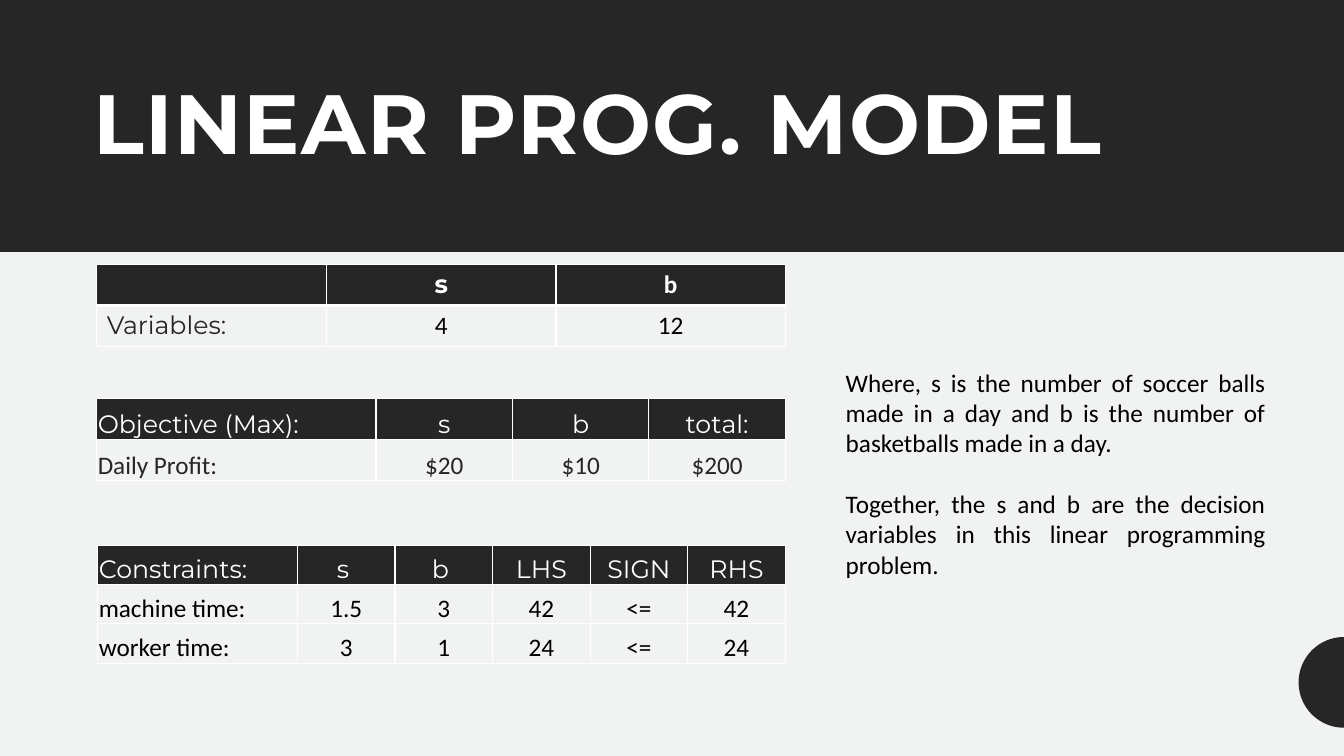
from math import cos, pi, sin

from lxml.etree import SubElement
from pptx import Presentation
from pptx.dml.color import RGBColor
from pptx.enum.shapes import MSO_SHAPE
from pptx.enum.text import MSO_ANCHOR, MSO_AUTO_SIZE, PP_ALIGN
from pptx.oxml.ns import qn
from pptx.util import Inches, Pt

COLORS = {"dark": "262626", "light": "F0F3F1", "white": "FFFFFF", "black": "000000"}
HEADING_FONT = "Montserrat"
BODY_FONT = "Calibri"
SLIDE_WIDTH = 13.33
SLIDE_HEIGHT = 7.5


def rgb(name):
    return RGBColor.from_string(COLORS[name])


class SlideBuilder:
    def __init__(self, slide):
        self.slide = slide
        self.shapes = slide.shapes
        slide.background.fill.solid()
        slide.background.fill.fore_color.rgb = rgb("light")

    def style_text(self, paragraph, font_name, color, size=18, bold=False):
        for run in paragraph.runs:
            run.font.name = font_name
            run.font.size = Pt(size)
            run.font.bold = bold
            run.font.color.rgb = rgb(color)

    def paint(self, shape, color):
        shape.shadow.inherit = False
        shape.fill.solid()
        shape.fill.fore_color.rgb = rgb(color)
        shape.line.fill.background()

    def rectangle(self, left, top, width, height, color):
        shape = self.shapes.add_shape(
            MSO_SHAPE.RECTANGLE, Inches(left), Inches(top), Inches(width), Inches(height))
        self.paint(shape, color)

    def half_disc(self, center_x, center_y, radius, color, steps=48):
        """Draw the left half of a disc, flat side at center_x."""
        angles = [pi / 2 + pi * step / steps for step in range(steps + 1)]
        points = [(Inches(center_x + radius * cos(angle)), Inches(center_y + radius * sin(angle)))
                  for angle in angles]
        builder = self.shapes.build_freeform(*points[0], scale=1.0)
        builder.add_line_segments(points[1:], close=True)
        self.paint(builder.convert_to_shape(), color)

    def title(self, text, left, top, width, height):
        title = self.shapes.title
        self.shapes.element.append(title.element)  # bring in front of the band
        title.left, title.top = Inches(left), Inches(top)
        title.width, title.height = Inches(width), Inches(height)
        text_frame = title.text_frame
        text_frame.text = text
        text_frame.auto_size = MSO_AUTO_SIZE.NONE
        text_frame.vertical_anchor = MSO_ANCHOR.MIDDLE
        paragraph = text_frame.paragraphs[0]
        paragraph.alignment = PP_ALIGN.LEFT
        paragraph.line_spacing = 0.9
        self.style_text(paragraph, HEADING_FONT, "white", size=60, bold=True)
        paragraph.runs[0].font._element.set("spc", "100")

    def text_box(self, paragraphs, left, top, width, height, gap):
        text_box = self.shapes.add_textbox(
            Inches(left), Inches(top), Inches(width), Inches(height))
        text_frame = text_box.text_frame
        text_frame.word_wrap = True
        text_frame.text = "\n".join(paragraphs)
        for index, paragraph in enumerate(text_frame.paragraphs):
            paragraph.alignment = PP_ALIGN.JUSTIFY
            paragraph.space_before = Pt(gap if index else 0)
            self.style_text(paragraph, BODY_FONT, "black")

    def borders(self, cell, bottom_width):
        properties = cell._tc.get_or_add_tcPr()
        for side, width in (("L", 1), ("R", 1), ("T", 1), ("B", bottom_width)):
            line = SubElement(properties, qn(f"a:ln{side}"), w=str(Pt(width)))
            fill = SubElement(line, qn("a:solidFill"))
            SubElement(fill, qn("a:srgbClr"), val=COLORS["white"])

    def table(self, rows, left, top, width, label_width, row_height,
              body_color="black", compact=True, header_line=1):
        """Add a table with a label column; compact cells sit low with tiny margins."""
        column_count = len(rows[0])
        table = self.shapes.add_table(
            len(rows), column_count, Inches(left), Inches(top),
            Inches(width), Inches(row_height * len(rows))).table
        table.first_row = table.horz_banding = False
        value_width = (width - label_width) / (column_count - 1)
        for index, column in enumerate(table.columns):
            column.width = Inches(value_width if index else label_width)
        for row_index, row in enumerate(rows):
            is_header = row_index == 0
            for column_index, text in enumerate(row):
                cell = table.cell(row_index, column_index)
                cell.text = text
                paragraph = cell.text_frame.paragraphs[0]
                paragraph.alignment = PP_ALIGN.CENTER if column_index else PP_ALIGN.LEFT
                if is_header:
                    self.style_text(paragraph, HEADING_FONT, "white")
                else:
                    self.style_text(paragraph, BODY_FONT, body_color)
                if compact:
                    cell.vertical_anchor = MSO_ANCHOR.BOTTOM
                    cell.margin_left = cell.margin_right = cell.margin_top = Inches(0.01)
                    cell.margin_bottom = 0
                self.borders(cell, header_line if is_header else 1)
                cell.fill.solid()
                cell.fill.fore_color.rgb = rgb("dark" if is_header else "light")
        return table


def main():
    presentation = Presentation()
    presentation.slide_width = Inches(SLIDE_WIDTH)
    presentation.slide_height = Inches(SLIDE_HEIGHT)
    slide = presentation.slides.add_slide(presentation.slide_layouts[5])
    builder = SlideBuilder(slide)

    builder.rectangle(0, 0, SLIDE_WIDTH, SLIDE_HEIGHT, "light")
    builder.rectangle(0, 0, SLIDE_WIDTH, 2.5, "dark")
    builder.title("LINEAR PROG. MODEL", 0.83, 0.41, 11.67, 1.7)

    variables = builder.table(
        [["", "s", "b"], ["Variables:", "4", "12"]],
        0.96, 2.62, 6.83, 2.28, 0.41, compact=False, header_line=3)
    for row, column, font_name, color, bold in (
            (0, 1, HEADING_FONT, "white", True),
            (0, 2, BODY_FONT, "white", True),
            (1, 0, HEADING_FONT, "dark", False)):
        paragraph = variables.cell(row, column).text_frame.paragraphs[0]
        builder.style_text(paragraph, font_name, color, bold=bold)

    builder.half_disc(SLIDE_WIDTH, 6.77, 0.45, "dark")
    builder.text_box(
        ["Where, s is the number of soccer balls made in a day and b is the number of "
         "basketballs made in a day.",
         "Together, the s and b are the decision variables in this linear programming problem."],
        8.29, 3.59, 4.36, 2.52, gap=22)

    builder.table(
        [["Objective (Max):", "s", "b", "total:"],
         ["Daily Profit:", "$20", "$10", "$200"]],
        0.96, 3.95, 6.83, 2.77, 0.41, body_color="dark")
    builder.table(
        [["Constraints:", "s ", "b ", "LHS", "SIGN", "RHS"],
         ["machine time:", "1.5", "3", "42", "<=", "42"],
         ["worker time:", "3", "1", "24", "<=", "24"]],
        0.97, 5.41, 6.82, 1.98, 0.39)

    presentation.save("out.pptx")


if __name__ == "__main__":
    main()
